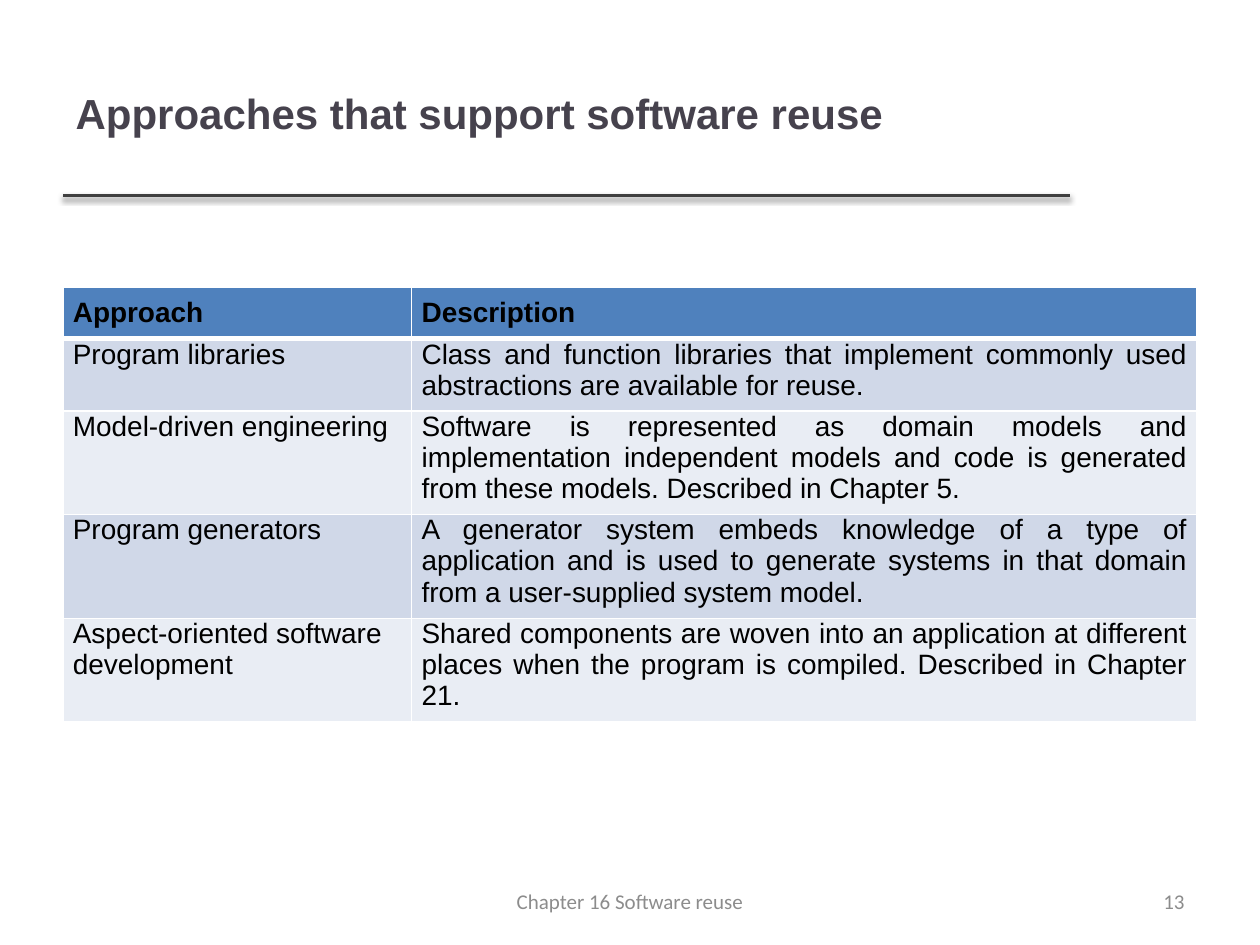
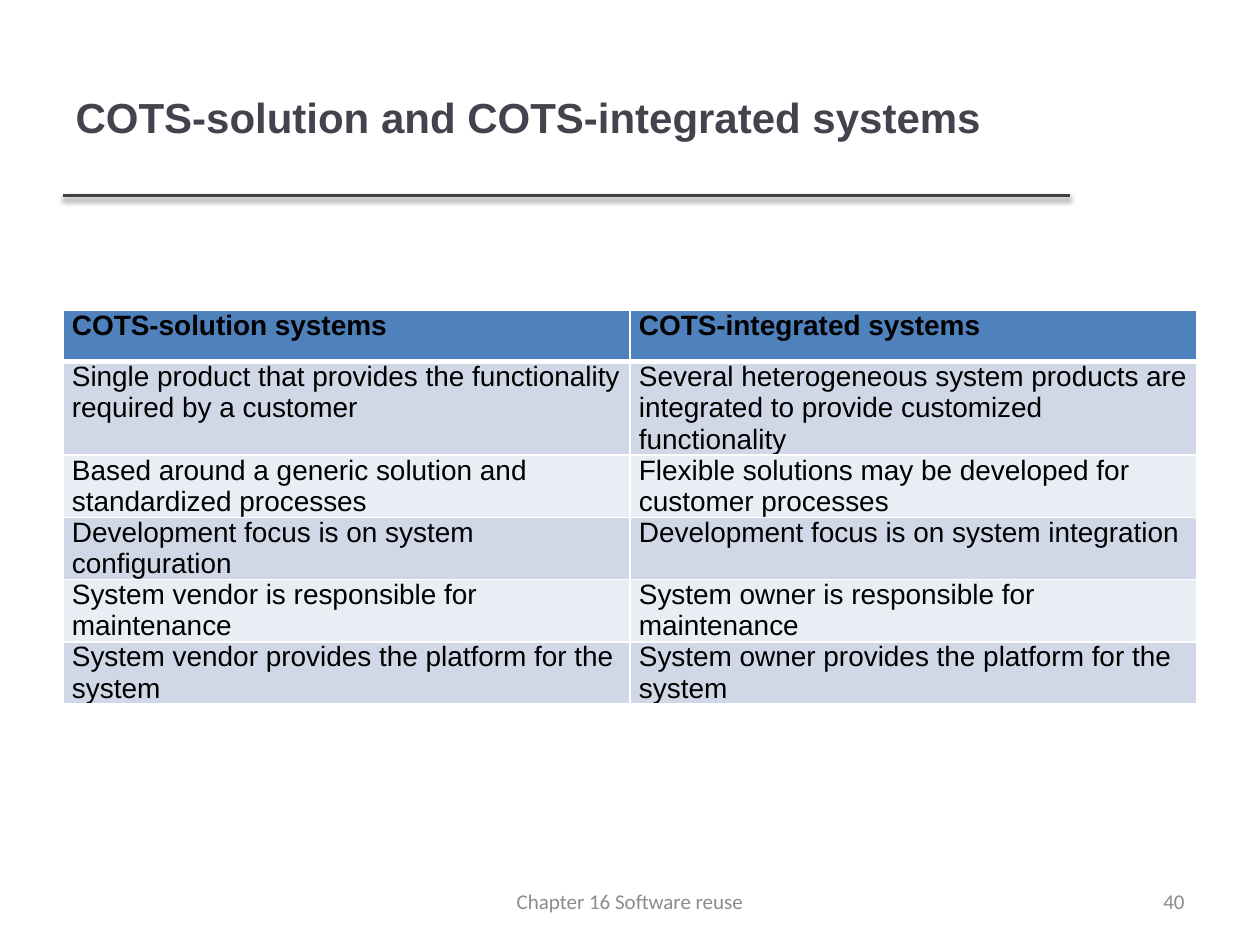
from lxml import etree
from pptx import Presentation
from pptx.dml.color import RGBColor
from pptx.enum.shapes import MSO_CONNECTOR
from pptx.enum.text import MSO_ANCHOR, PP_ALIGN
from pptx.oxml import parse_xml
from pptx.oxml.ns import nsdecls, qn
from pptx.util import Cm, Pt

STRAIGHT = MSO_CONNECTOR.STRAIGHT
MIDDLE, TOP = MSO_ANCHOR.MIDDLE, MSO_ANCHOR.TOP
LEFT, CENTER, RIGHT, JUSTIFY = (
    PP_ALIGN.LEFT, PP_ALIGN.CENTER, PP_ALIGN.RIGHT, PP_ALIGN.JUSTIFY)

TITLE_COLOR = RGBColor(0x46, 0x42, 0x4D)
RULE_COLOR = RGBColor(0x40, 0x40, 0x40)
FOOTER_COLOR = RGBColor(0x8C, 0x8C, 0x8C)
TEXT_COLOR = RGBColor(0x00, 0x00, 0x00)
BORDER_COLOR = RGBColor(0xFF, 0xFF, 0xFF)
HEADER_FILL = RGBColor(0x4F, 0x81, 0xBD)
BAND_FILLS = [RGBColor(0xE9, 0xED, 0xF4), RGBColor(0xD0, 0xD8, 0xE8)]

TITLE_FONT = {"name": "Arial", "size": Pt(24), "bold": True, "color": TITLE_COLOR}
HEADER_FONT = {"name": "Arial", "size": Pt(16), "bold": True, "color": TEXT_COLOR}
BODY_FONT = HEADER_FONT | {"bold": False}
FOOTER_FONT = {"name": "Calibri", "size": Pt(12), "bold": False, "color": FOOTER_COLOR}

RULE_SHADOW = (
    f'<a:effectLst {nsdecls("a")}>'
    '<a:outerShdw blurRad="39370" dist="20320" dir="5400000" rotWithShape="0">'
    '<a:srgbClr val="000000"><a:alpha val="38000"/></a:srgbClr>'
    '</a:outerShdw></a:effectLst>')

MARGIN = 1.27
TABLE_WIDTH = 22.86
FOOTER = "Chapter 16 Software reuse"

# Lengths are in cm; insets run left, top, right, bottom
SLIDES = [
    {
        "title": "Approaches that support software reuse",
        "title_box": (MARGIN, 0.69, 22.86, 3.18),
        "number": "13",
        "table_top": 5.79,
        "columns": [7.03, 15.83],
        "heights": [1.04, 1.44, 2.09, 2.09, 2.09],
        "header_insets": (0.2, 0.2, 0.2, 0.2),
        "body_insets": (0.2, 0, 0.2, 0.2),
        "body_aligns": [LEFT, JUSTIFY],
        "header_spacing": {},
        "body_spacing": {},
        "rows": [
            ("Approach", "Description"),
            ("Program libraries",
             "Class and function libraries that implement commonly used "
             "abstractions are available for reuse."),
            ("Model-driven engineering",
             "Software is represented as domain models and implementation "
             "independent models and code is generated from these models. "
             "Described in Chapter 5."),
            ("Program generators",
             "A generator system embeds knowledge of a type of application "
             "and is used to generate systems in that domain from a "
             "user-supplied system model."),
            ("Aspect-oriented software development",
             "Shared components are woven into an application at different "
             "places when the program is compiled. Described in Chapter 21."),
        ],
    },
    {
        "title": "COTS-solution and COTS-integrated systems",
        "title_box": (MARGIN, 0.76, 20.27, 3.18),
        "number": "40",
        "table_top": 6.25,
        "columns": [11.43, 11.43],
        "heights": [1.04, 1.87, 1.25, 1.25, 1.25, 1.25],
        "header_insets": (0.18, 0, 0.18, 0),
        "body_insets": (0.18, 0, 0.18, 0),
        "body_aligns": [LEFT, LEFT],
        "header_spacing": {"space_before": Pt(3), "space_after": Pt(3)},
        "body_spacing": {"space_after": Pt(6)},
        "rows": [
            ("COTS-solution systems", "COTS-integrated systems"),
            ("Single product that provides the functionality required by a customer",
             "Several heterogeneous system products are integrated to provide "
             "customized functionality"),
            ("Based around a generic solution and standardized processes",
             "Flexible solutions may be developed for customer processes"),
            ("Development focus is on system configuration",
             "Development focus is on system integration"),
            ("System vendor is responsible for maintenance",
             "System owner is responsible for maintenance"),
            ("System vendor provides the platform for the system",
             "System owner provides the platform for the system"),
        ],
    },
]


def write_text(frame, text, font, align, anchor, spacing):
    """Put one formatted paragraph into a text frame."""
    frame.word_wrap = True
    frame.vertical_anchor = anchor
    para = frame.paragraphs[0]
    for name, value in ({"alignment": align} | spacing).items():
        setattr(para, name, value)
    span = para.add_run()
    span.text = text
    for name, value in font.items():
        if name == "color":
            span.font.color.rgb = value
        else:
            setattr(span.font, name, value)


def add_borders(cell, widths):
    """Draw the cell's sides; widths in points by side, in schema order."""
    properties = cell._tc.get_or_add_tcPr()
    for side, width in widths.items():
        line = etree.SubElement(properties, qn(f"a:ln{side}"), w=str(Pt(width)))
        fill = etree.SubElement(line, qn("a:solidFill"))
        etree.SubElement(fill, qn("a:srgbClr"), val=str(BORDER_COLOR))


deck = Presentation()
deck.slide_width, deck.slide_height = Cm(25.4), Cm(19.05)
title_only = deck.slide_layouts[5]

for content in SLIDES:
    page = deck.slides.add_slide(title_only)

    # Title
    title = page.shapes.title
    title.left, title.top, title.width, title.height = map(Cm, content["title_box"])
    write_text(title.text_frame, content["title"], TITLE_FONT, LEFT, MIDDLE, {})

    # Shadowed rule under the title
    rule = page.shapes.add_connector(
        STRAIGHT, Cm(MARGIN), Cm(3.94), Cm(21.56), Cm(3.94))
    rule.line.color.rgb = RULE_COLOR
    rule.line.width = Pt(2)
    rule._element.spPr.append(parse_xml(RULE_SHADOW))

    # Table
    rows = content["rows"]
    table = page.shapes.add_table(
        len(rows), len(content["columns"]), Cm(MARGIN), Cm(content["table_top"]),
        Cm(TABLE_WIDTH), Cm(sum(content["heights"]))).table
    for column, width in zip(table.columns, content["columns"]):
        column.width = Cm(width)
    for row_index, texts in enumerate(rows):
        table.rows[row_index].height = Cm(content["heights"][row_index])
        is_header = row_index == 0
        part = "header" if is_header else "body"
        spacing = content[f"{part}_spacing"]
        if row_index == 1 and spacing:
            spacing = spacing | {"space_before": Pt(3)}
        for column_index, text in enumerate(texts):
            cell = table.cell(row_index, column_index)
            add_borders(cell, {"L": 1, "R": 1, "T": 3 if row_index == 1 else 1,
                               "B": 3 if is_header else 1})
            cell.fill.solid()
            cell.fill.fore_color.rgb = HEADER_FILL if is_header else BAND_FILLS[row_index % 2]
            sides = ("left", "top", "right", "bottom")
            for side, inset in zip(sides, content[f"{part}_insets"]):
                setattr(cell, f"margin_{side}", Cm(inset))
            align = JUSTIFY if is_header else content["body_aligns"][column_index]
            font = HEADER_FONT if is_header else BODY_FONT
            cell.vertical_anchor = TOP
            write_text(cell.text_frame, text, font, align, TOP, spacing)

    # Page number and footer
    for text, left, width, align in [(content["number"], 18.21, 5.92, RIGHT),
                                     (FOOTER, 8.68, 8.04, CENTER)]:
        box = page.shapes.add_textbox(Cm(left), Cm(17.65), Cm(width), Cm(1.02))
        write_text(box.text_frame, text, FOOTER_FONT, align, MIDDLE, {})

deck.save("out.pptx")
